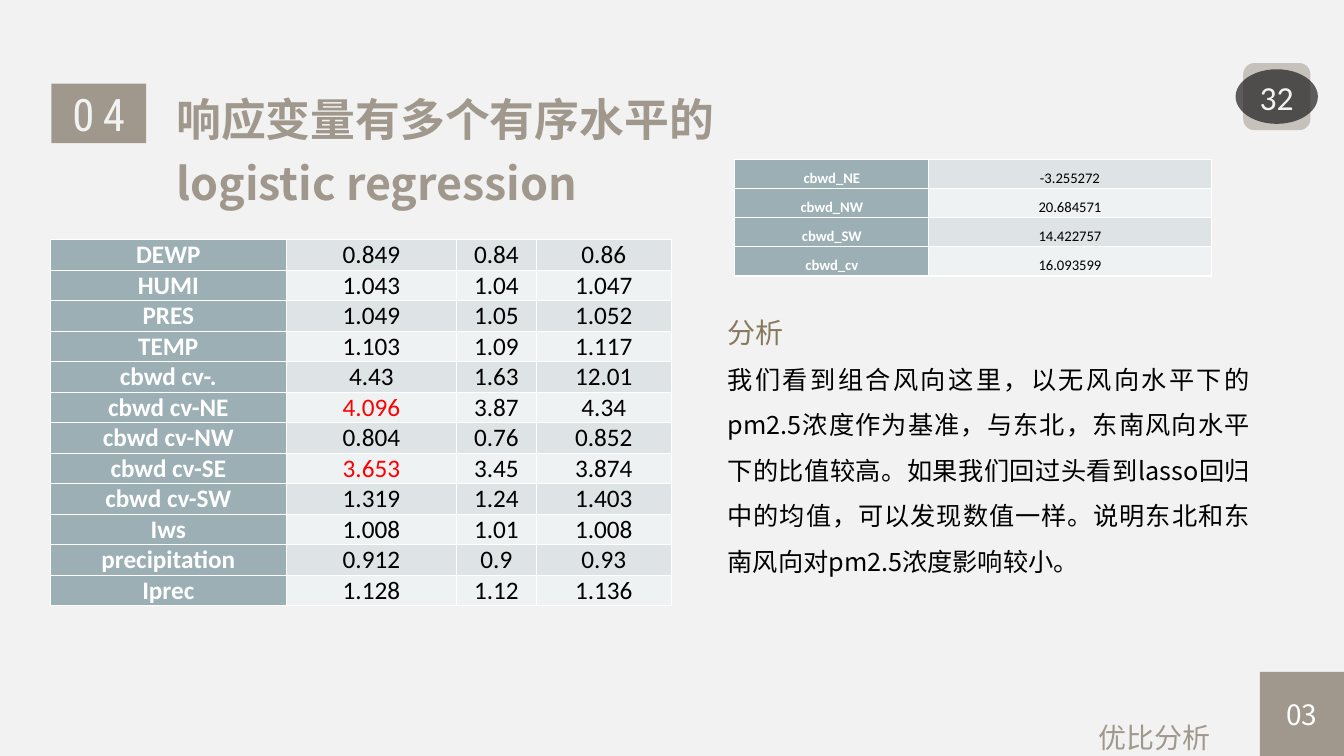
from dataclasses import dataclass
from typing import Any, Optional

from lxml import etree
from pptx import Presentation, util as u
from pptx.dml import color
from pptx.enum import shapes, text
from pptx.oxml import ns


@dataclass(frozen=True)
class Theme:
    paper: str = "F2F2F2"
    taupe: str = "A0988C"
    pale_taupe: str = "C6C1BA"
    olive: str = "87795D"
    dark: str = "1D1D1D"
    black: str = "000000"
    white: str = "FFFFFF"
    red: str = "FF0000"
    label_fill: str = "9BAFB5"
    bands: tuple[str, str] = ("DEE3E5", "EFF2F3")
    latin: str = "Calibri"
    chinese: str = "Noto Sans CJK SC"
    condensed: str = "Roboto Condensed"
    title: float = 32
    counter: float = 24
    heading: float = 20
    body: float = 18
    small: float = 10.5


@dataclass(frozen=True)
class Area:
    col: float
    row: float
    cols: float
    rows: float


@dataclass(frozen=True)
class Words:
    content: str
    size: float
    face: str
    hue: str
    bold: bool = False
    align: Any = text.PP_ALIGN.LEFT
    leading: float = 1.0
    gap: float = 0
    tracking: int = 0


@dataclass(frozen=True)
class Badge:
    preset: Any
    area: Area
    fill: str
    words: Optional[Words] = None
    opacity: int = 100
    side_inset: float = 1.2


@dataclass(frozen=True)
class Passage:
    area: Area
    paragraphs: tuple[Words, ...]


@dataclass(frozen=True)
class Grid:
    col: float
    row: float
    widths: tuple[float, ...]
    row_height: float
    size: float
    leading: float
    records: tuple[tuple[str, ...], ...]
    highlights: tuple[str, ...] = ()


THEME = Theme()
CENTER = text.PP_ALIGN.CENTER
JUSTIFY = text.PP_ALIGN.JUSTIFY
COLUMNS, ROWS = 160, 90
SLIDE_HEIGHT = u.Inches(7.5)
UNIT = SLIDE_HEIGHT / ROWS

BADGES = (
    Badge(shapes.MSO_SHAPE.RECTANGLE, Area(6.12, 9.96, 11.28, 7.08), THEME.taupe,
          Words("04", THEME.title, THEME.condensed, THEME.paper, align=CENTER, tracking=600)),
    Badge(shapes.MSO_SHAPE.ROUNDED_RECTANGLE, Area(148, 7.5, 8, 8), THEME.pale_taupe),
    Badge(shapes.MSO_SHAPE.OVAL, Area(147.1, 8.25, 9.8, 6.5), THEME.dark,
          Words("32", THEME.counter, THEME.latin, THEME.paper, align=CENTER), 70, 0.24),
    Badge(shapes.MSO_SHAPE.RECTANGLE, Area(150, 80, 10, 10), THEME.taupe,
          Words("03", THEME.heading, THEME.chinese, THEME.white, align=CENTER)),
)

PASSAGES = (
    Passage(Area(19.8, 9, 73.9, 16.7), (
        Words("响应变量有多个有序水平的logistic regression", THEME.title, THEME.chinese,
              THEME.taupe, bold=True, leading=1.2),)),
    Passage(Area(129.6, 84.36, 20.4, 5.64), (
        Words("优比分析", THEME.heading, THEME.chinese, THEME.taupe, leading=1.2, gap=3),)),
    Passage(Area(85.44, 35, 64.56, 38.2), (
        Words("分析", THEME.heading, THEME.chinese, THEME.olive, align=JUSTIFY, leading=1.5),
        Words("我们看到组合风向这里，以无风向水平下的pm2.5浓度作为基准，与东北，东南风向水平下的比值较高。"
              "如果我们回过头看到lasso回归中的均值，可以发现数值一样。说明东北和东南风向对pm2.5浓度影响较小。",
              THEME.body, THEME.chinese, THEME.black, align=JUSTIFY, leading=1.5))),
)

ODDS_RATIOS = Grid(6, 28.56, (28.08, 20.28, 9.48, 16.1), 3.63, THEME.body, 1.0, (
    ("DEWP", "0.849", "0.84", "0.86"),
    ("HUMI", "1.043", "1.04", "1.047"),
    ("PRES", "1.049", "1.05", "1.052"),
    ("TEMP", "1.103", "1.09", "1.117"),
    ("cbwd cv-.", "4.43", "1.63", "12.01"),
    ("cbwd cv-NE", "4.096", "3.87", "4.34"),
    ("cbwd cv-NW", "0.804", "0.76", "0.852"),
    ("cbwd cv-SE", "3.653", "3.45", "3.874"),
    ("cbwd cv-SW", "1.319", "1.24", "1.403"),
    ("Iws", "1.008", "1.01", "1.008"),
    ("precipitation", "0.912", "0.9", "0.93"),
    ("Iprec", "1.128", "1.12", "1.136"),
), ("4.096", "3.653"))

LASSO_MEANS = Grid(87.48, 18.96, (23.1, 33.6), 3.48, THEME.small, 1.5, (
    ("cbwd_NE", "-3.255272"),
    ("cbwd_NW", "20.684571"),
    ("cbwd_SW", "14.422757"),
    ("cbwd_cv", "16.093599"),
))


def grid(units: float) -> int:
    return round(units * UNIT)


def place(area: Area) -> tuple[int, ...]:
    return tuple(grid(side) for side in (area.col, area.row, area.cols, area.rows))


def apply(target: Any, formats: dict[str, Any]) -> None:
    for key, setting in formats.items():
        setattr(target, key, setting)


def paint(fill: Any, hue: str) -> None:
    fill.solid()
    fill.fore_color.rgb = color.RGBColor.from_string(hue)


def write(paragraph: Any, words: Words) -> None:
    apply(paragraph, {"alignment": words.align, "line_spacing": words.leading,
                      "space_before": u.Pt(words.gap), "space_after": u.Pt(words.gap)})
    run = paragraph.add_run()
    run.text = words.content
    apply(run.font, {"size": u.Pt(words.size), "bold": words.bold, "name": words.face})
    run.font.color.rgb = color.RGBColor.from_string(words.hue)
    properties = run._r.get_or_add_rPr()
    etree.SubElement(properties, ns.qn("a:ea"), typeface=words.face)
    if words.tracking:
        properties.set("spc", str(words.tracking))


def draw_badge(slide: Any, badge: Badge) -> None:
    shape = slide.shapes.add_shape(badge.preset, *place(badge.area))
    shape.shadow.inherit = False
    shape.line.fill.background()
    paint(shape.fill, badge.fill)
    if badge.opacity < 100:
        tint = shape.fill._xPr.find(ns.qn("a:solidFill"))[0]
        etree.SubElement(tint, ns.qn("a:alpha"), val=str(badge.opacity * 1000))
    if badge.words:
        inset = grid(badge.side_inset)
        apply(shape.text_frame, {"vertical_anchor": text.MSO_ANCHOR.MIDDLE, "word_wrap": True,
                                 "margin_left": inset, "margin_right": inset})
        write(shape.text_frame.paragraphs[0], badge.words)


def draw_passage(slide: Any, passage: Passage) -> None:
    frame = slide.shapes.add_textbox(*place(passage.area)).text_frame
    frame.word_wrap = True
    for index, words in enumerate(passage.paragraphs):
        write(frame.add_paragraph() if index else frame.paragraphs[0], words)


def outline_cell(cell: Any) -> None:
    properties = cell._tc.get_or_add_tcPr()
    for index, side in enumerate(("lnL", "lnR", "lnT", "lnB")):
        border = etree.Element(ns.qn(f"a:{side}"), w=str(u.Pt(1)))
        ink = etree.SubElement(border, ns.qn("a:solidFill"))
        etree.SubElement(ink, ns.qn("a:srgbClr"), val=THEME.white)
        properties.insert(index, border)


def draw_grid(slide: Any, data: Grid) -> None:
    count = len(data.records)
    area = Area(data.col, data.row, sum(data.widths), count * data.row_height)
    table = slide.shapes.add_table(count, len(data.widths), *place(area)).table
    apply(table, {"first_row": False, "horz_banding": False})
    for column, width in zip(table.columns, data.widths):
        column.width = grid(width)
    for r, record in enumerate(data.records):
        table.rows[r].height = grid(data.row_height)
        for c, content in enumerate(record):
            cell, label = table.cell(r, c), c == 0
            apply(cell, {"vertical_anchor": text.MSO_ANCHOR.MIDDLE, "margin_top": 0,
                         "margin_bottom": 0, "margin_left": grid(0.9), "margin_right": grid(0.9)})
            paint(cell.fill, THEME.label_fill if label else THEME.bands[r % 2])
            outline_cell(cell)
            value_hue = THEME.red if content in data.highlights else THEME.black
            write(cell.text_frame.paragraphs[0],
                  Words(content, data.size, THEME.latin, THEME.white if label else value_hue,
                        label, CENTER, data.leading))


def main() -> None:
    deck = Presentation()
    apply(deck, {"slide_width": grid(COLUMNS), "slide_height": SLIDE_HEIGHT})
    slide = deck.slides.add_slide(deck.slide_layouts[6])
    paint(slide.background.fill, THEME.paper)
    for badge in BADGES:
        draw_badge(slide, badge)
    for passage in PASSAGES:
        draw_passage(slide, passage)
    for data in (ODDS_RATIOS, LASSO_MEANS):
        draw_grid(slide, data)
    deck.save("out.pptx")


if __name__ == "__main__":
    main()
